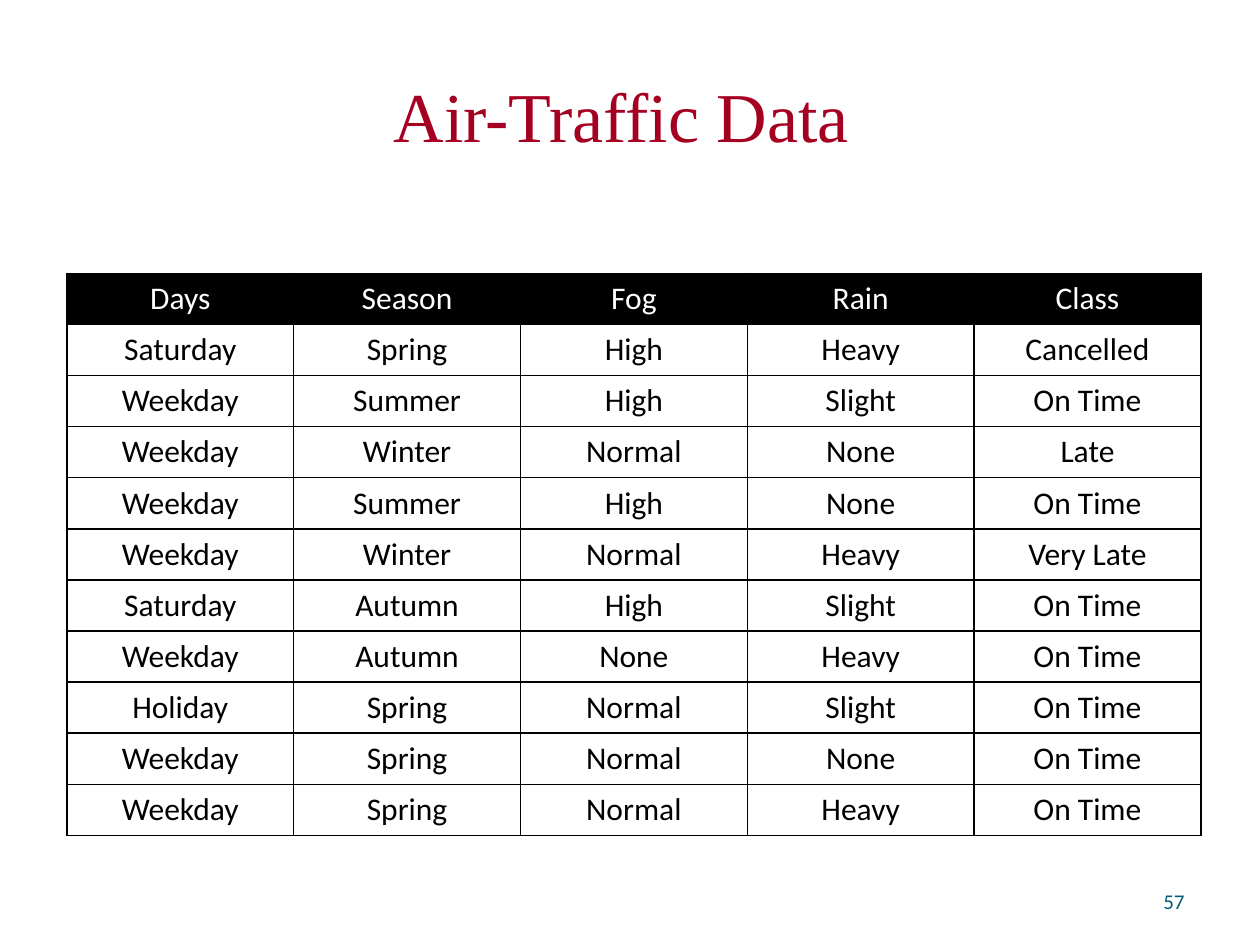
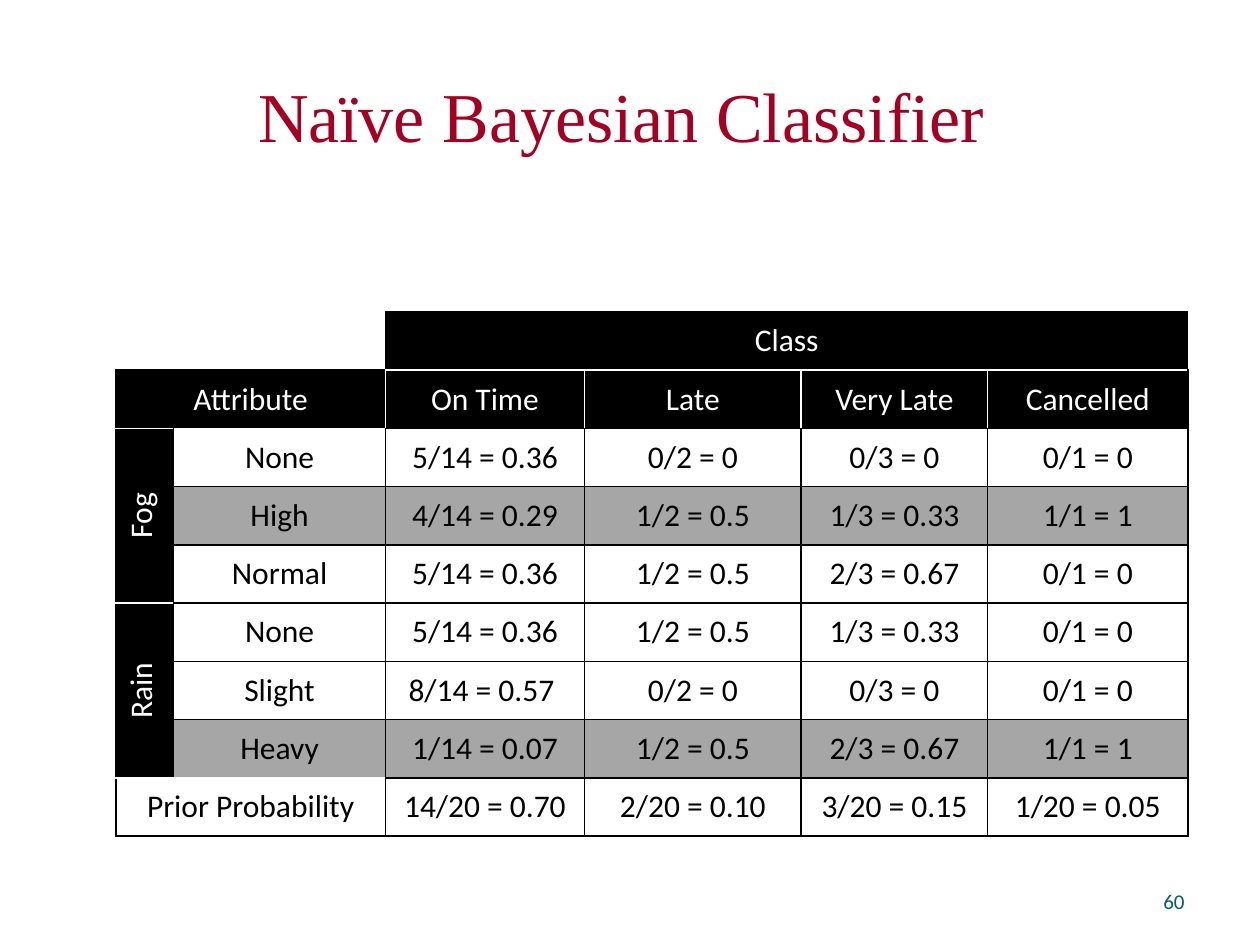
from dataclasses import dataclass

import lxml.etree
import pptx
import pptx.dml.color
import pptx.enum.text
import pptx.oxml.ns
import pptx.presentation
import pptx.slide
import pptx.table
import pptx.text.text
import pptx.util

Pt = pptx.util.Pt
RGBColor = pptx.dml.color.RGBColor
Align = pptx.enum.text.PP_ALIGN
Anchor = pptx.enum.text.MSO_ANCHOR
qn = pptx.oxml.ns.qn

BLACK = RGBColor(0x00, 0x00, 0x00)
WHITE = RGBColor(0xFF, 0xFF, 0xFF)
GREY = RGBColor(0xA6, 0xA6, 0xA6)
RED = RGBColor(0xA5, 0x00, 0x21)
TEAL = RGBColor(0x04, 0x5C, 0x75)
SERIF = "Times New Roman"
SANS = "Calibri"
PLAIN_STYLE = "{2D5ABB26-0587-4C30-8999-92F81FD0307C}"
SIDES = {"lnL": (0, -1), "lnR": (0, 1), "lnT": (-1, 0), "lnB": (1, 0)}

Spot = tuple[int, int]


@dataclass(frozen=True)
class Grid:
    left: float
    top: float
    widths: tuple[float, ...]
    height: float
    rows: tuple[str, ...]
    anchor: Anchor = Anchor.TOP
    seam: RGBColor = BLACK
    dark: frozenset[Spot] = frozenset()
    grey: frozenset[int] = frozenset()
    spans: tuple[tuple[Spot, Spot], ...] = ()
    soft: frozenset[Spot] = frozenset()

    def owner(self, spot: Spot) -> Spot:
        for first, last in self.spans:
            if all(a <= s <= b for a, s, b in zip(first, spot, last)):
                return first
        return spot

    def text(self, spot: Spot) -> str:
        return self.rows[spot[0]].split("|")[spot[1]]

    def fill(self, spot: Spot) -> RGBColor:
        home = self.owner(spot)
        if home in self.dark:
            return BLACK
        return GREY if spot[0] in self.grey else WHITE

    def edge(self, spot: Spot, step: Spot) -> RGBColor | None:
        near = (spot[0] + step[0], spot[1] + step[1])
        inside = 0 <= near[0] < len(self.rows) and 0 <= near[1] < len(self.widths)
        if not inside:
            return BLACK if self.text(self.owner(spot)) else None
        if self.owner(near) == self.owner(spot):
            return None
        if step[0] and max(spot, near) in self.soft:
            return WHITE
        both = self.owner(spot) in self.dark and self.owner(near) in self.dark
        return self.seam if both else BLACK


@dataclass(frozen=True)
class Page:
    title: str
    number: str
    grid: Grid


TRAFFIC = Grid(
    left=38.2,
    top=156.2,
    widths=(129.6,) * 5,
    height=29.2,
    dark=frozenset((0, col) for col in range(5)),
    rows=(
        "Days|Season|Fog|Rain|Class",
        "Saturday|Spring|High|Heavy|Cancelled",
        "Weekday|Summer|High|Slight|On Time",
        "Weekday|Winter|Normal|None|Late",
        "Weekday|Summer|High|None|On Time",
        "Weekday|Winter|Normal|Heavy|Very Late",
        "Saturday|Autumn|High|Slight|On Time",
        "Weekday|Autumn|None|Heavy|On Time",
        "Holiday|Spring|Normal|Slight|On Time",
        "Weekday|Spring|Normal|None|On Time",
        "Weekday|Spring|Normal|Heavy|On Time",
    ),
)

BAYES = Grid(
    left=66.2,
    top=178.2,
    widths=(33.1, 121, 113.8, 123.8, 106.6, 114.4),
    height=33.28,
    anchor=Anchor.MIDDLE,
    seam=WHITE,
    dark=frozenset({(0, 2), (1, 0), (2, 0), (5, 0)} | {(1, col) for col in range(2, 6)}),
    grey=frozenset({3, 7}),
    spans=(
        ((0, 0), (0, 1)),
        ((0, 2), (0, 5)),
        ((1, 0), (1, 1)),
        ((2, 0), (4, 0)),
        ((5, 0), (7, 0)),
        ((8, 0), (8, 1)),
    ),
    soft=frozenset({(2, 1), (8, 0), (8, 1)}),
    rows=(
        "||Class|||",
        "Attribute||On Time|Late|Very Late|Cancelled",
        "Fog|None|5/14 = 0.36|0/2 = 0|0/3 = 0|0/1 = 0",
        "|High|4/14 = 0.29|1/2 = 0.5|1/3 = 0.33|1/1 = 1",
        "|Normal|5/14 = 0.36|1/2 = 0.5|2/3 = 0.67|0/1 = 0",
        "Rain|None|5/14 = 0.36|1/2 = 0.5|1/3 = 0.33|0/1 = 0",
        "|Slight|8/14 = 0.57 |0/2 = 0|0/3 = 0|0/1 = 0",
        "|Heavy|1/14 = 0.07|1/2 = 0.5|2/3 = 0.67|1/1 = 1",
        "Prior Probability||14/20 = 0.70|2/20 = 0.10|3/20 = 0.15|1/20 = 0.05",
    ),
)

PAGES = (
    Page("Air-Traffic Data", "57", TRAFFIC),
    Page("Naïve Bayesian Classifier", "60", BAYES),
)


def style(para: pptx.text.text._Paragraph, size: float, face: str,
          color: RGBColor, align: Align) -> None:
    para.alignment = align
    para.font.size = Pt(size)
    para.font.name = face
    para.font.color.rgb = color


def rule(cell: pptx.table._Cell, grid: Grid, spot: Spot) -> None:
    props = cell._tc.get_or_add_tcPr()
    for index, (tag, step) in enumerate(SIDES.items()):
        line = lxml.etree.Element(qn(f"a:{tag}"), w=str(Pt(1)))
        color = grid.edge(spot, step)
        if color is None:
            lxml.etree.SubElement(line, qn("a:noFill"))
        else:
            solid = lxml.etree.SubElement(line, qn("a:solidFill"))
            lxml.etree.SubElement(solid, qn("a:srgbClr"), val=str(color))
        props.insert(index, line)


def draw_cell(cell: pptx.table._Cell, grid: Grid, spot: Spot) -> None:
    fill = grid.fill(spot)
    if grid.text(grid.owner(spot)):
        cell.fill.solid()
        cell.fill.fore_color.rgb = fill
    else:
        cell.fill.background()
    cell.vertical_anchor = grid.anchor
    rule(cell, grid, spot)
    text = grid.text(spot)
    if text:
        cell.text = text
        color = WHITE if fill == BLACK else BLACK
        style(cell.text_frame.paragraphs[0], 18, SANS, color, Align.CENTER)
    if cell.is_merge_origin and cell.span_height > 1:
        cell._tc.get_or_add_tcPr().set("vert", "vert270")


def draw_grid(slide: pptx.slide.Slide, grid: Grid) -> None:
    rows, cols = len(grid.rows), len(grid.widths)
    frame = slide.shapes.add_table(rows, cols, Pt(grid.left), Pt(grid.top),
                                   Pt(sum(grid.widths)), Pt(grid.height * rows))
    table = frame.table
    table.first_row = table.horz_banding = False
    next(frame.element.iter(qn("a:tableStyleId"))).text = PLAIN_STYLE
    for col, width in zip(table.columns, grid.widths):
        col.width = Pt(width)
    for row in table.rows:
        row.height = Pt(grid.height)
    for first, last in grid.spans:
        table.cell(*first).merge(table.cell(*last))
    for row in range(rows):
        for col in range(cols):
            draw_cell(table.cell(row, col), grid, (row, col))


def draw_page(deck: pptx.presentation.Presentation, page: Page) -> None:
    slide = deck.slides.add_slide(deck.slide_layouts[5])
    title = slide.shapes.title
    title.left, title.top, title.width, title.height = Pt(31), Pt(20.2), Pt(648), Pt(90)
    title.text_frame.text = page.title
    title.text_frame.auto_size = pptx.enum.text.MSO_AUTO_SIZE.NONE
    title.text_frame.vertical_anchor = Anchor.MIDDLE
    style(title.text_frame.paragraphs[0], 40, SERIF, RED, Align.CENTER)
    foot = slide.shapes.add_textbox(Pt(516.2), Pt(500.4), Pt(167.8), Pt(28.8)).text_frame
    foot.word_wrap = True
    foot.vertical_anchor = Anchor.MIDDLE
    foot.text = page.number
    style(foot.paragraphs[0], 12, SANS, TEAL, Align.RIGHT)
    draw_grid(slide, page.grid)


def main() -> None:
    deck = pptx.Presentation()
    deck.slide_width, deck.slide_height = Pt(720), Pt(540)
    for page in PAGES:
        draw_page(deck, page)
    deck.save("out.pptx")


if __name__ == "__main__":
    main()
